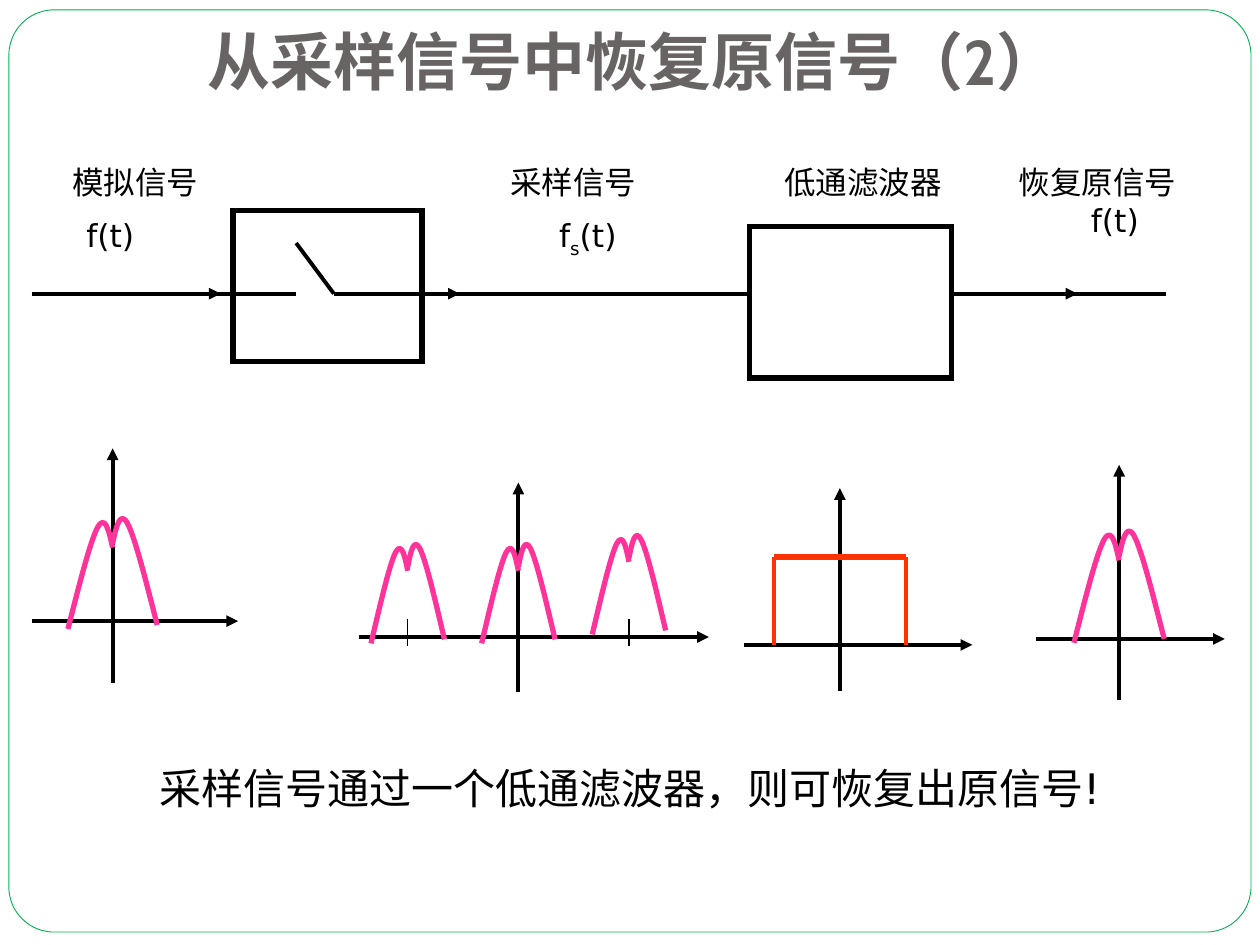
from dataclasses import dataclass

from pptx import Presentation
from pptx.dml.color import RGBColor as Rgb
from pptx.enum.shapes import MSO_CONNECTOR as Link, MSO_SHAPE as Kind
from pptx.enum.text import MSO_ANCHOR as Anchor, MSO_AUTO_SIZE as Fit, PP_ALIGN as Align
from pptx.oxml.ns import qn
from pptx.util import Cm, Pt
from lxml.etree import SubElement as Sub


@dataclass(frozen=True)
class Theme:
    """Colours, fonts and sizes of the slide."""
    ink: str = "000000"
    paper: str = "FFFFFF"
    edge: str = "00B050"
    head: str = "696464"
    wave: str = "FF3399"
    gate: str = "FF3300"
    title_font: str = "Cabin"
    font: str = "DejaVu Sans"
    title: float = 36
    note: float = 24
    label: float = 18
    gap: float = 9
    bold: float = 3
    line: float = 2.25
    thin: float = 0.75
    hair: float = 0.5


LOBE = ((0, 0.29), (0.08, 0.14), (0.17, 0), (0.33, 0.11), (0.5, 0.23), (0.75, 0.62), (1, 1))


def curve(path):
    """Turn each three line segments of a path into one cubic curve."""
    lines = path.findall(qn("a:lnTo"))
    for n in range(0, len(lines), 3):
        cubic = Sub(path, qn("a:cubicBezTo"))
        for line in lines[n:n + 3]:
            cubic.append(line[0])
            path.remove(line)


class Deck:
    """Draws styled elements on the current slide."""

    def __init__(self, theme):
        """Open a deck with one title-only slide."""
        self.look = theme
        self.prs = Presentation()
        self.prs.slide_width, self.prs.slide_height = Cm(25.4), Cm(19.05)
        self.slide = self.prs.slides.add_slide(self.prs.slide_layouts[5])
        self.shapes = self.slide.shapes

    def stroke(self, shape, color, width):
        """Set the line of a shape."""
        shape.line.color.rgb = Rgb.from_string(color)
        shape.line.width = Pt(width)

    def style(self, para, font, size, color, bold=False):
        """Format all runs of a paragraph."""
        for run in para.runs:
            run.font.name, run.font.size, run.font.bold = font, Pt(size), bold
            run.font.color.rgb = Rgb.from_string(color)

    def title(self, text, *at):
        """Fill and place the title."""
        box = self.shapes.title
        box.left, box.top, box.width, box.height = map(Cm, at)
        frame = box.text_frame
        frame.text = text
        frame.auto_size, frame.word_wrap = Fit.NONE, True
        frame.vertical_anchor = Anchor.TOP
        para = frame.paragraphs[0]
        para.alignment = Align.CENTER
        self.style(para, self.look.title_font, self.look.title, self.look.head, True)

    def frame(self, *at):
        """Draw the rounded slide border behind everything."""
        box = self.shapes.add_shape(Kind.ROUNDED_RECTANGLE, *map(Cm, at))
        box.adjustments[0] = 0.049
        box.shadow.inherit = False
        box.fill.solid()
        box.fill.fore_color.rgb = Rgb.from_string(self.look.paper)
        self.stroke(box, self.look.edge, self.look.hair)
        self.shapes._spTree.insert(2, box._element)

    def block(self, *at):
        """Draw an open box of the signal chain."""
        box = self.shapes.add_shape(Kind.RECTANGLE, *map(Cm, at))
        box.shadow.inherit = False
        box.fill.background()
        self.stroke(box, self.look.ink, self.look.bold)
        Sub(box.line._get_or_add_ln(), qn("a:miter"), lim="800000")

    def line(self, *ends, color=None, width=None, arrow=False):
        """Draw a straight line, with an arrowhead if asked."""
        link = self.shapes.add_connector(Link.STRAIGHT, *map(Cm, ends))
        self.stroke(link, color or self.look.ink, width or self.look.line)
        if arrow:
            Sub(link.line._get_or_add_ln(), qn("a:tailEnd"), type="triangle")
        Sub(link._element.spPr, qn("a:effectLst"))

    def axes(self, left, right, base, mid, low, top):
        """Draw a pair of arrowed axes."""
        self.line(left, base, right, base, arrow=True)
        self.line(mid, low, mid, top, arrow=True)

    def lobes(self, mid, top, wide, high):
        """Draw the two mirrored halves of a spectrum."""
        for side, drop in ((1, 0), (-1, 0.08)):
            pts = [(Cm(mid + side * x * wide), Cm(top + drop + y * high)) for x, y in LOBE]
            path = self.shapes.build_freeform(*pts[0])
            path.add_line_segments(pts[1:], close=False)
            half = path.convert_to_shape()
            curve(half._element.spPr.find(".//" + qn("a:path")))
            half.shadow.inherit = False
            half.fill.background()
            self.stroke(half, self.look.wave, self.look.bold)

    def text(self, rows, *at, size=None, gap=0):
        """Place paragraphs given as (runs, alignment, indent)."""
        frame = self.shapes.add_textbox(*map(Cm, at)).text_frame
        frame.word_wrap = True
        for n, (runs, align, indent) in enumerate(rows):
            para = frame.add_paragraph() if n else frame.paragraphs[0]
            para.alignment = align
            para.space_before = Pt(gap if n else 0)
            para._p.get_or_add_pPr().set("marL", str(Cm(indent)))
            for word in runs:
                para.add_run().text = word
            self.style(para, self.look.font, size or self.look.label, self.look.ink)
        return frame


def main():
    """Build the slide and save it."""
    look = Theme()
    deck = Deck(look)
    deck.frame(0.18, 0.2, 25.04, 18.59)
    deck.title("从采样信号中恢复原信号（2）", 1.02, 0.33, 23.5, 2.34)

    deck.block(15.11, 4.57, 4.08, 3.05)
    deck.block(4.7, 4.24, 3.81, 3.05)
    wire = 5.92
    for start, end, arrow in ((0.64, 4.45, True), (6.73, 9.27, True), (9.02, 15.11, False),
                              (19.18, 21.72, True), (20.96, 23.5, False), (4.19, 5.97, False)):
        deck.line(start, wire, end, wire, arrow=arrow)
    deck.line(5.97, 4.9, 6.73, wire)

    left, mid, top = Align.LEFT, Align.CENTER, 3.16
    deck.text([(["模拟信号"], mid, 0), (["f(t)"], left, 0.79)],
              0.7, top, 4.06, 2.16, gap=look.gap)
    box = deck.text([(["采样信号"], mid, 0), (["f", "s", "(t)"], mid, 0.58)],
                    9.53, top, 4.06, 2.16, gap=look.gap)
    box.paragraphs[1].runs[1].font._element.set("baseline", "-25000")
    deck.text([(["低通滤波器"], mid, 0)], 15.11, top, 4.57, 1.02)
    deck.text([(["恢复原信号"], left, 0.1), (["f(t)"], mid, 0)], 20.19, top, 4.57, 1.78)

    for axes in ((0.64, 4.8, 12.52, 2.27, 13.77, 9.04), (7.23, 14.29, 12.84, 10.45, 13.94, 9.73),
                 (14.99, 19.6, 13, 16.93, 13.92, 9.84), (20.88, 24.69, 12.88, 22.56, 14.12, 9.37)):
        deck.axes(*axes)
    for lobe in ((2.27, 10.29, 0.9, 2.31), (8.22, 10.83, 0.74, 2.06), (10.45, 10.83, 0.74, 2.06),
                 (12.68, 10.65, 0.74, 2.06), (22.56, 10.54, 0.91, 2.34)):
        deck.lobes(*lobe)
    low, high, near, far = 13, 11.23, 15.6, 18.26
    for tick, end in ((8.22, 13.03), (12.68, 13.03), (far, low)):
        deck.line(tick, 12.47, tick, end, width=look.thin)
    deck.line(near, high, far, high, color=look.gate, width=look.bold)
    for side in (far, near):
        deck.line(side, high, side, low, color=look.gate)

    deck.text([(["采样信号通过一个低通滤波器，则可恢复出原信号!"], mid, 0)],
              1.48, 15.24, 22.43, 1.27, size=look.note)
    deck.prs.save("out.pptx")


if __name__ == "__main__":
    main()
